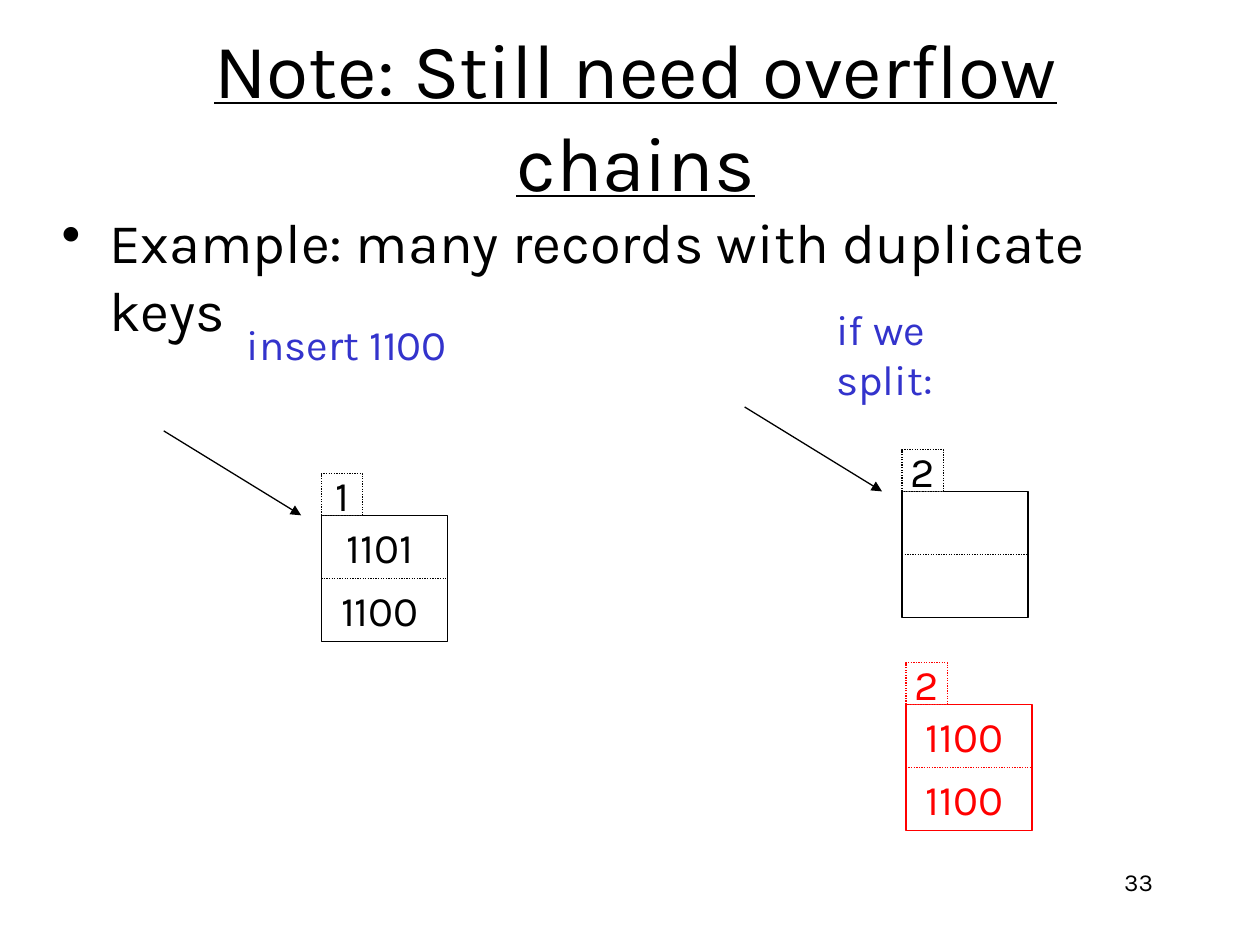
"""Builds a slide on overflow chains in extensible hashing."""
from dataclasses import dataclass

import pptx
import pptx.dml.color
import pptx.enum.dml
import pptx.enum.shapes
import pptx.enum.text
import pptx.oxml
import pptx.oxml.ns
import pptx.util

Inches = pptx.util.Inches
Pt = pptx.util.Pt
RGBColor = pptx.dml.color.RGBColor
Align = pptx.enum.text.PP_ALIGN
Anchor = pptx.enum.text.MSO_ANCHOR

BLACK = RGBColor(0, 0, 0)
WHITE = RGBColor(255, 255, 255)
RED = RGBColor(255, 0, 0)
BLUE = RGBColor(0x33, 0x33, 0xCC)
FONT = "Karla"
BUCKET_SIZE = 1.0
TAB_SIZE = 0.33
CELL_WIDTH = 0.93
CELL_HEIGHT = BUCKET_SIZE / 2


@dataclass
class Bucket:
    left: float
    top: float
    depth: str
    keys: tuple[str, ...] = ()
    color: RGBColor = BLACK
    arrow: bool = False


@dataclass
class Label:
    left: float
    top: float
    width: float
    text: str


BUCKETS = [
    Bucket(2.55, 4.09, "1", ("1101", "1100"), arrow=True),
    Bucket(7.16, 3.9, "2", arrow=True),
    Bucket(7.19, 5.59, "2", ("1100", "1100"), RED),
]
LABELS = [Label(1.86, 2.48, 1.85, "insert 1100"), Label(6.54, 2.36, 1.73, "if we split:")]


def write(shape, text: str, *, size: float = 24, color: RGBColor = BLACK,
          align=Align.LEFT, anchor=Anchor.TOP, wrap: bool = True,
          underline: bool = False, bullet: bool = False):
    frame = shape.text_frame
    frame.word_wrap = wrap
    frame.vertical_anchor = anchor
    para = frame.paragraphs[0]
    para.alignment = align
    span = para.add_run()
    span.text = text
    span.font.name = FONT
    span.font.size = Pt(size)
    span.font.color.rgb = color
    if underline:
        span.font.underline = True
    if bullet:
        para.space_before = Pt(3)
        properties = para._p.get_or_add_pPr()
        properties.set("marL", str(Inches(0.38)))
        properties.set("indent", str(Inches(-0.38)))
        mark = pptx.oxml.parse_xml(f'<a:buChar {pptx.oxml.ns.nsdecls("a")} char="•"/>')
        properties.append(mark)


def add_text(page, left: float, top: float, width: float, height: float, text: str, **style):
    box = page.shapes.add_textbox(Inches(left), Inches(top), Inches(width), Inches(height))
    write(box, text, **style)


def style_line(line, color: RGBColor, dotted: bool = False):
    line.color.rgb = color
    line.width = Pt(0.75)
    if dotted:
        line.dash_style = pptx.enum.dml.MSO_LINE.ROUND_DOT


def add_square(group, left: float, top: float, size: float, color: RGBColor, dotted: bool = False):
    square = group.shapes.add_shape(pptx.enum.shapes.MSO_SHAPE.RECTANGLE, Inches(left), Inches(top),
                                    Inches(size), Inches(size))
    square.shadow.inherit = False
    square.fill.solid()
    square.fill.fore_color.rgb = WHITE
    style_line(square.line, color, dotted)
    return square


def add_line(page, start: tuple[float, float], end: tuple[float, float], color: RGBColor,
             dotted: bool = False, arrow: bool = False):
    points = [Inches(value) for value in (*start, *end)]
    line = page.shapes.add_connector(pptx.enum.shapes.MSO_CONNECTOR.STRAIGHT, *points)
    style_line(line.line, color, dotted)
    namespace = pptx.oxml.ns.nsdecls("a")
    if arrow:
        line.line._get_or_add_ln().append(pptx.oxml.parse_xml(f'<a:tailEnd {namespace} type="triangle"/>'))
    line._element.spPr.append(pptx.oxml.parse_xml(f"<a:effectLst {namespace}/>"))
    return line


def add_bucket(page, bucket: Bucket):
    left, top, color = bucket.left, bucket.top, bucket.color
    group = page.shapes.add_group_shape()
    body = add_square(group, left, top, BUCKET_SIZE, color)
    tab = add_square(group, left, top - TAB_SIZE, TAB_SIZE, color, dotted=True)
    write(tab, bucket.depth, color=color, align=Align.CENTER, anchor=Anchor.MIDDLE, wrap=False)
    middle = top + CELL_HEIGHT
    divider = add_line(page, (left, middle), (left + BUCKET_SIZE, middle), color, dotted=True)
    divider.begin_connect(body, 1)
    divider.end_connect(body, 3)
    for row, key in enumerate(bucket.keys):
        add_text(page, left, top + row * CELL_HEIGHT, CELL_WIDTH, CELL_HEIGHT, key, color=color,
                 align=Align.CENTER, anchor=Anchor.MIDDLE, wrap=False)
    if bucket.arrow:
        add_line(page, (left - 1.25, top - 0.67), (left - 0.16, top), color, arrow=True)


def main():
    deck = pptx.Presentation()
    deck.slide_width = Inches(10)
    deck.slide_height = Inches(7.5)
    page = deck.slides.add_slide(deck.slide_layouts[6])
    add_text(page, 0.65, 0.28, 8.79, 1.25, "Note: Still need overflow chains", size=44,
             align=Align.CENTER, anchor=Anchor.MIDDLE, underline=True)
    add_text(page, 0.39, 1.6, 9.14, 0.69, "Example: many records with duplicate keys",
             size=32, bullet=True)
    for bucket in BUCKETS:
        add_bucket(page, bucket)
    for label in LABELS:
        add_text(page, label.left, label.top, label.width, 0.5, label.text, color=BLUE)
    add_text(page, 7.17, 6.83, 2.08, 0.5, "33", size=14, align=Align.RIGHT)
    deck.save("out.pptx")


if __name__ == "__main__":
    main()
